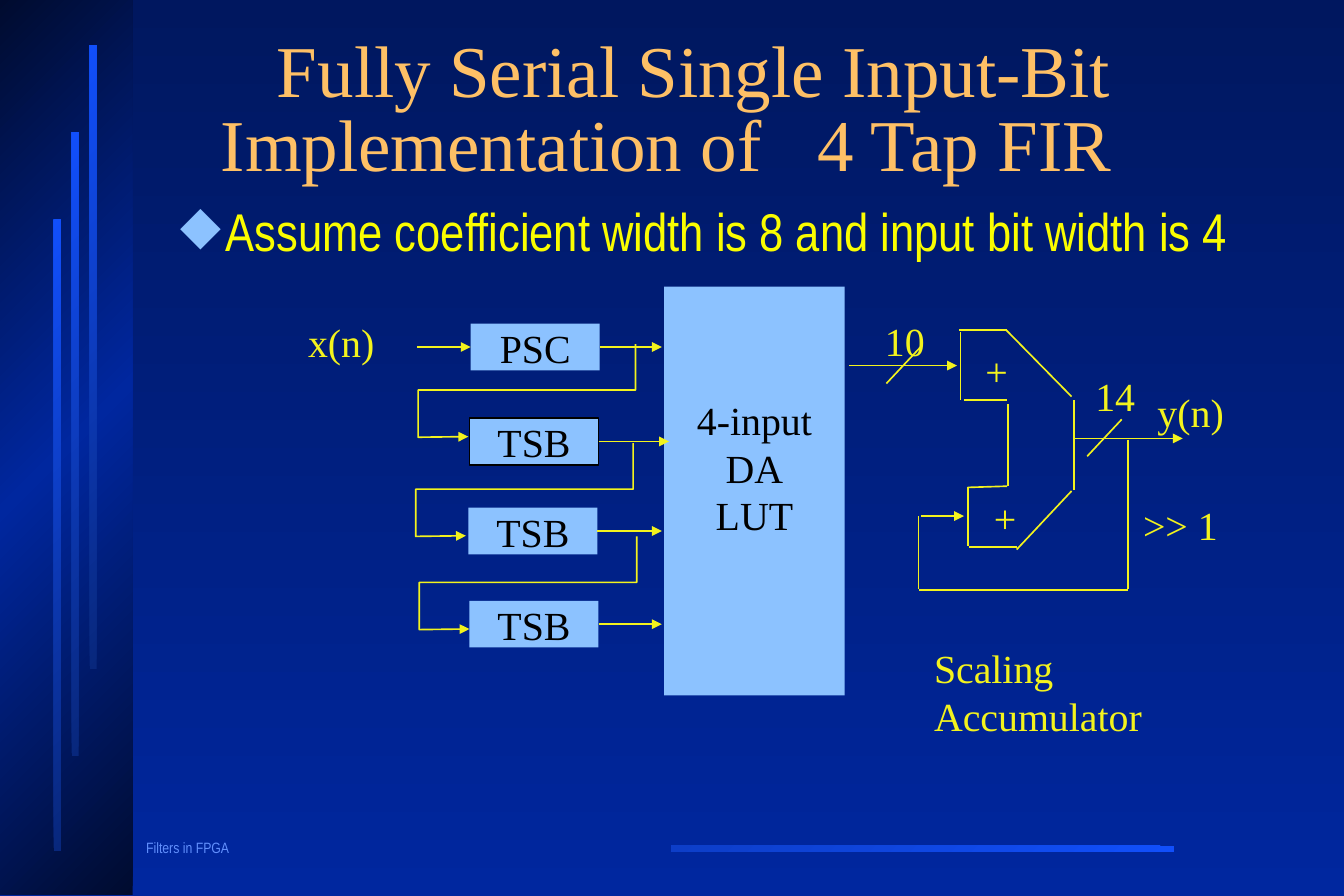
from copy import deepcopy
from dataclasses import dataclass

from pptx import Presentation
from pptx.dml.color import RGBColor as Rgb
from pptx.enum.shapes import MSO_CONNECTOR as Connector, MSO_SHAPE as Shape
from pptx.enum.text import MSO_ANCHOR as Anchor, PP_ALIGN as Align
from pptx.oxml.xmlchemy import OxmlElement
from pptx.util import Inches, Pt

SLIDE_W, SLIDE_H = Inches(11.25), Inches(7.5)
COLUMNS, ROWS = 45, 30


@dataclass(frozen=True)
class Theme:
    serif: str = "Times New Roman"
    narrow: str = "Arial Narrow"
    symbols: str = "OpenSymbol"
    title: str = "FEC066"
    body: str = "FAFD00"
    wire: str = "F3F31D"
    block: str = "8CC2FF"
    ink: str = "000000"
    footer: str = "618FFD"
    backdrop: tuple = ("00175F", "00279F")
    sidebar: tuple = ("000B2F", "00279F", "000B2F")
    stripe: tuple = ("08277C", "114FFB")
    rule: tuple = ("114FFB", "0D3EC8")
    title_size: int = 44
    body_size: int = 32
    label_size: int = 24
    footer_size: int = 9
    line_width: int = 1


THEME = Theme()
BLOCK_W, BLOCK_H = 4.32, 1.56
STRIPE_HEIGHTS = (21.12, 20.88, 20.88)
# label, left, top, column where its arrow meets the table
SHIFT_BLOCKS = [("PSC", 15.76, 10.84, 22.16), ("TSB", 15.72, 14, 22.4),
                ("TSB", 15.68, 17, 22.16), ("TSB", 15.72, 20.12, 22.16)]
LOOP_STARTS = [(21.28, 11.52), (21.2, 14.84), (21.32, 17.96)]
LOOP_STEPS = [(0, 1.54), (-7.28, 1.54), (-7.28, 3.12), (-5.6, 3.1)]
ADDER_EDGES = [
    (32.12, 11.04, 33.72, 11.04), (32.16, 11.12, 32.16, 13.4),
    (32.28, 13.4, 33.72, 13.4), (33.76, 13.52, 33.76, 16.28),
    (33.72, 16.28, 32.4, 16.32), (32.4, 16.32, 32.4, 18.28),
    (32.44, 18.32, 34.04, 18.32), (33.68, 11.04, 35.88, 13.28),
    (35.96, 13.4, 35.96, 16.4), (34.04, 18.4, 35.88, 16.44)]
FEEDBACK_EDGES = [(37.76, 14.72, 37.76, 19.72), (37.76, 19.76, 30.76, 19.76),
                  (30.76, 19.72, 30.76, 17.28)]
BUS_SLASHES = [(37.56, 14.04, 36.4, 15.28), (30.84, 11.6, 29.68, 12.84)]
ADDER_ARROWS = [(35.96, 14.68, 39.6, 14.68), (30.84, 17.28, 32.28, 17.28),
                (28.44, 12.24, 32.04, 12.24)]
LABELS = [("x(n)", 9.92, 10.44, 3.68, 2), ("10", 29.24, 10.4, 2.24, 2),
          ("+", 32.6, 11.4, 1.36, 2), ("+", 32.88, 16.32, 1.68, 2),
          ("14", 36.28, 12.24, 2.24, 2), ("y(n)", 38.36, 12.8, 3.4, 2),
          (">> 1", 37.88, 16.56, 3.6, 2),
          ("Scaling Accumulator", 30.88, 21.36, 7.96, 3.6)]


def col(n):
    return round(SLIDE_W * n / COLUMNS)


def row(n):
    return round(SLIDE_H * n / ROWS)


def box(left, top, width, height):
    return col(left), row(top), col(width), row(height)


def make_element(tag, **attributes):
    element = OxmlElement(tag)
    for name, value in attributes.items():
        element.set(name, value)
    return element


def paint_gradient(fill, colors, angle):
    """Spread the colours evenly; angle runs counter-clockwise."""
    fill.gradient()
    fill.gradient_angle = angle
    first_stop = fill.gradient_stops[0]._gs
    for _ in colors[2:]:
        first_stop.addnext(deepcopy(first_stop))
    for i, (stop, color) in enumerate(zip(fill.gradient_stops, colors)):
        stop.color.rgb = Rgb.from_string(color)
        stop.position = i / (len(colors) - 1)


def format_runs(frame, font_name, size, color):
    for paragraph in frame.paragraphs:
        for run in paragraph.runs:
            run.font.name = font_name
            run.font.size = Pt(size)
            run.font.color.rgb = Rgb.from_string(color)


def add_bar(slide, place, colors):
    bar = slide.shapes.add_shape(Shape.RECTANGLE, *box(*place))
    bar.shadow.inherit = False
    bar.line.fill.background()
    paint_gradient(bar.fill, colors, 135)


def add_text(slide, text, place, font_name, size, color):
    frame = slide.shapes.add_textbox(*box(*place)).text_frame
    frame.word_wrap = True
    frame.text = text
    format_runs(frame, font_name, size, color)
    return frame


def add_block(slide, text, place):
    block = slide.shapes.add_shape(Shape.RECTANGLE, *box(*place))
    block.shadow.inherit = False
    block.fill.solid()
    block.fill.fore_color.rgb = Rgb.from_string(THEME.block)
    block.line.fill.background()
    frame = block.text_frame
    frame.word_wrap = False
    frame.vertical_anchor = Anchor.MIDDLE
    frame.text = text
    for paragraph in frame.paragraphs:
        paragraph.alignment = Align.CENTER
    format_runs(frame, THEME.serif, THEME.label_size, THEME.ink)
    return block


def style_line(line, color=THEME.wire, arrow=False):
    line.color.rgb = Rgb.from_string(color)
    line.width = Pt(THEME.line_width)
    if arrow:
        line._get_or_add_ln().append(make_element("a:tailEnd", type="triangle"))


def add_wire(slide, x1, y1, x2, y2, arrow=False):
    wire = slide.shapes.add_connector(Connector.STRAIGHT, col(x1), row(y1), col(x2), row(y2))
    style_line(wire.line, arrow=arrow)
    wire._element.spPr.append(make_element("a:effectLst"))
    return wire


def add_loop(slide, x, y):
    """Wire from one block's output round to the next block's input."""
    builder = slide.shapes.build_freeform(col(x), row(y))
    builder.add_line_segments([(col(x + dx), row(y + dy)) for dx, dy in LOOP_STEPS], close=False)
    loop = builder.convert_to_shape()
    loop.shadow.inherit = False
    loop.fill.background()
    style_line(loop.line, arrow=True)


def add_backdrop(slide):
    paint_gradient(slide.background.fill, THEME.backdrop, 270)
    add_bar(slide, (22.48, 28.32, 16.84, 0.2), THEME.rule)
    add_bar(slide, (0, 0, 4.44, 29.96), THEME.sidebar)
    for i, height in enumerate(STRIPE_HEIGHTS):
        add_bar(slide, (1.8 + 0.6 * i, 7.36 - 2.92 * i, 0.24, height), THEME.stripe)
    footer = add_text(slide, "Filters in FPGA", (4.5, 27.96, 6, 0.92),
                      THEME.narrow, THEME.footer_size, THEME.footer)
    footer.paragraphs[0].line_spacing = 0.9


def add_title(slide):
    frame = add_text(slide, "Fully Serial Single Input-Bit Implementation of",
                     (5.44, 0.84, 32.16, 5.84), THEME.serif, THEME.title_size, THEME.title)
    frame.vertical_anchor = Anchor.MIDDLE
    heading = frame.paragraphs[0]
    heading.alignment = Align.RIGHT
    heading.line_spacing = 0.85
    gap, tail = heading.add_run(), heading.add_run()
    gap.text, tail.text = " ", "4 Tap FIR"
    format_runs(frame, THEME.serif, THEME.title_size, THEME.title)
    gap.font._element.set("spc", "2200")


def add_assumption(slide):
    frame = add_text(slide, "Assume coefficient width is 8 and input bit width is 4",
                     (5.64, 6.68, 37.64, 2.6), THEME.narrow, THEME.body_size, THEME.body)
    assumption = frame.paragraphs[0]
    assumption.line_spacing = 0.9
    props = assumption._p.get_or_add_pPr()
    props.set("marL", str(Inches(0.38)))
    props.set("indent", str(-Inches(0.38)))
    bullet_color = make_element("a:buClr")
    bullet_color.append(make_element("a:srgbClr", val=THEME.block))
    props.extend([bullet_color, make_element("a:buFont", typeface=THEME.symbols),
                  make_element("a:buChar", char="◆")])


def add_shift_chain(slide):
    lut = add_block(slide, "4-input\nDA\nLUT", (22.24, 9.6, 6.04, 13.68))
    lut.text_frame.margin_bottom = row(1.8)
    blocks = []
    for label, left, top, lut_col in SHIFT_BLOCKS:
        block = add_block(slide, label, (left, top, BLOCK_W, BLOCK_H))
        middle = top + BLOCK_H / 2
        output = add_wire(slide, left + BLOCK_W, middle, lut_col, middle, arrow=True)
        output.begin_connect(block, 3)
        blocks.append(block)
    style_line(blocks[1].line, THEME.ink)
    signal = add_wire(slide, 13.96, 11.62, 15.76, 11.62, arrow=True)
    signal.end_connect(blocks[0], 1)
    for start in LOOP_STARTS:
        add_loop(slide, *start)


def add_accumulator(slide):
    for edge in ADDER_EDGES + FEEDBACK_EDGES + BUS_SLASHES:
        add_wire(slide, *edge)
    for arrow in ADDER_ARROWS:
        add_wire(slide, *arrow, arrow=True)


def main():
    deck = Presentation()
    deck.slide_width, deck.slide_height = SLIDE_W, SLIDE_H
    slide = deck.slides.add_slide(deck.slide_layouts[6])
    add_backdrop(slide)
    add_title(slide)
    add_assumption(slide)
    add_shift_chain(slide)
    add_accumulator(slide)
    for label, *place in LABELS:
        add_text(slide, label, place, THEME.serif, THEME.label_size, THEME.wire)
    deck.save("out.pptx")


if __name__ == "__main__":
    main()
